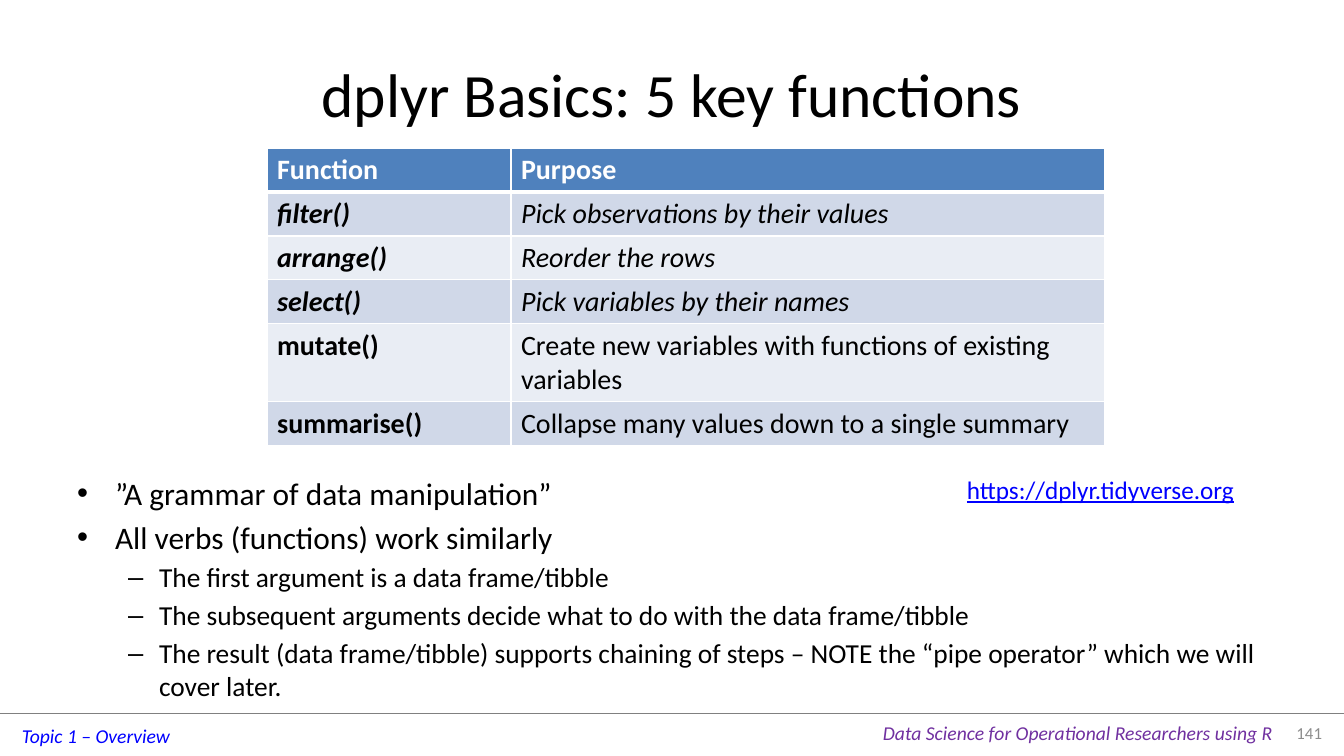
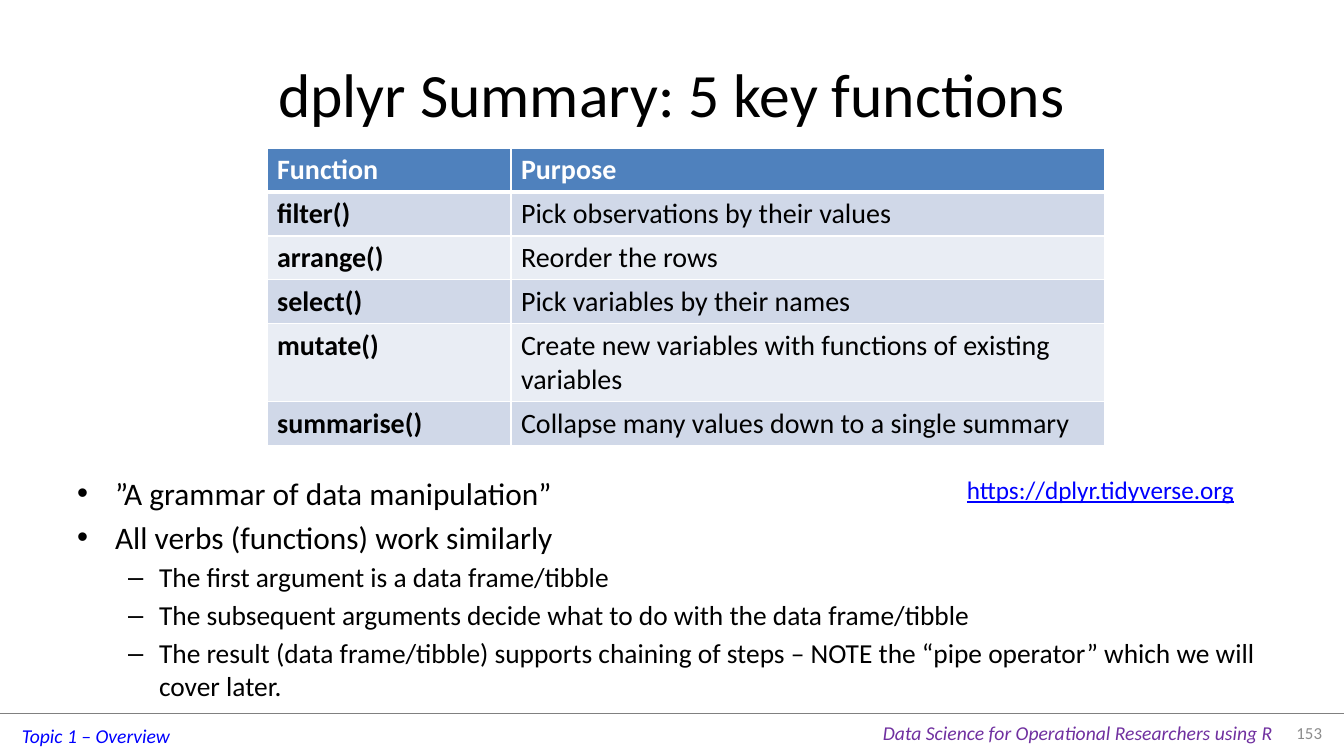
from dataclasses import dataclass

from pptx import Presentation
from pptx import util as u
from pptx.dml.color import RGBColor
from pptx.enum import shapes, text
from pptx.oxml import parse_xml
from pptx.oxml.ns import nsdecls

SLIDE_WIDTH, SLIDE_HEIGHT = 1344, 756
PX_PER_INCH = 100.8


@dataclass(frozen=True)
class Theme:
    font: str = "Calibri"
    black: str = "000000"
    white: str = "FFFFFF"
    header: str = "4F81BD"
    bands: tuple = ("D0D8E8", "E9EDF4")
    rule: str = "808080"
    blue: str = "0000FF"
    purple: str = "7030A0"
    grey: str = "8C8C8C"
    title_size: float = 44
    bullet_sizes: tuple = (22.4, 19.6)
    bullet_gaps: tuple = (4.5, 3.5)
    table_size: float = 20
    link_size: float = 18
    footer_size: float = 14
    number_size: float = 12


THEME = Theme()


def px(length):
    return u.Emu(round(length * 914400 / PX_PER_INCH))


def write(paragraph, content, size, color=THEME.black, bold=False, italic=False,
          underline=False, align=text.PP_ALIGN.LEFT):
    paragraph.alignment = align
    run = paragraph.add_run()
    run.text = content
    font = run.font
    font.name = THEME.font
    font.size = u.Pt(size)
    font.bold, font.italic, font.underline = bold, italic, underline
    font.color.rgb = RGBColor.from_string(color)


class Deck:
    BULLETS = (("•", 38, -38), ("–", 82, -31))

    def __init__(self, theme):
        self.theme = theme
        self.presentation = Presentation()
        self.presentation.slide_width = px(SLIDE_WIDTH)
        self.presentation.slide_height = px(SLIDE_HEIGHT)
        self.slide = None

    def add_slide(self, title, number):
        self.slide = self.presentation.slides.add_slide(self.presentation.slide_layouts[1])
        self.footer(number)
        frame = self.place(self.slide.shapes.title, 67, 30, 1210, 126)
        frame.vertical_anchor = text.MSO_ANCHOR.MIDDLE
        write(frame.paragraphs[0], title, self.theme.title_size, align=text.PP_ALIGN.CENTER)

    def place(self, shape, left, top, width, height):
        shape.left, shape.top = px(left), px(top)
        shape.width, shape.height = px(width), px(height)
        frame = shape.text_frame
        frame.word_wrap = True
        frame.auto_size = text.MSO_AUTO_SIZE.NONE
        return frame

    def label(self, content, left, top, width, height, wrap=True,
              anchor=text.MSO_ANCHOR.TOP, **style):
        box = self.slide.shapes.add_textbox(px(left), px(top), px(width), px(height))
        frame = box.text_frame
        frame.word_wrap = wrap
        frame.vertical_anchor = anchor
        write(frame.paragraphs[0], content, **style)

    def line(self, left, top, right, bottom, color, weight):
        connector = self.slide.shapes.add_connector(
            shapes.MSO_CONNECTOR.STRAIGHT, px(left), px(top), px(right), px(bottom))
        connector.line.color.rgb = RGBColor.from_string(color)
        connector.line.width = u.Pt(weight)
        connector._element.spPr.append(parse_xml(f"<a:effectLst {nsdecls('a')}/>"))

    def footer(self, number):
        theme = self.theme
        self.line(0, 713, SLIDE_WIDTH, 713, theme.rule, 0.25)
        self.label("Topic 1 – Overview", 12, 719, 169, 34, wrap=False,
                   size=theme.footer_size, color=theme.blue, italic=True)
        self.label("Data Science for Operational Researchers using R", 873, 716, 414, 34,
                   wrap=False, size=theme.footer_size, color=theme.purple, italic=True)
        self.label(str(number), 1277, 713, 55, 40, anchor=text.MSO_ANCHOR.MIDDLE,
                   size=theme.number_size, color=theme.grey, align=text.PP_ALIGN.RIGHT)

    def bullets(self, items, left, top, width, height):
        frame = self.place(self.slide.placeholders[1], left, top, width, height)
        frame.vertical_anchor = text.MSO_ANCHOR.TOP
        for index, (level, content) in enumerate(items):
            paragraph = frame.add_paragraph() if index else frame.paragraphs[0]
            paragraph.level = level
            paragraph.space_before = u.Pt(self.theme.bullet_gaps[level] if index else 0)
            mark, margin, indent = self.BULLETS[level]
            properties = paragraph._p.get_or_add_pPr()
            properties.set("marL", str(px(margin)))
            properties.set("indent", str(px(indent)))
            properties.append(parse_xml(f'<a:buChar {nsdecls("a")} char="{mark}"/>'))
            write(paragraph, content, self.theme.bullet_sizes[level])

    def borders(self, cell, **weights):
        properties = cell._tc.get_or_add_tcPr()
        for side in "LRTB":
            properties.append(parse_xml(
                f'<a:ln{side} {nsdecls("a")} w="{u.Pt(weights.get(side, 1))}"><a:solidFill>'
                f'<a:srgbClr val="{self.theme.white}"/></a:solidFill></a:ln{side}>'))

    def table(self, rows, left, top, widths, heights, italic_rows):
        theme = self.theme
        table = self.slide.shapes.add_table(
            len(rows), len(widths), px(left), px(top), px(sum(widths)), px(sum(heights))).table
        table.horz_banding = False
        for column, width in zip(table.columns, widths):
            column.width = px(width)
        for row_index, (row, height) in enumerate(zip(rows, heights)):
            table.rows[row_index].height = px(height)
            is_header = row_index == 0
            fill = theme.header if is_header else theme.bands[(row_index - 1) % 2]
            for column_index, content in enumerate(row):
                cell = table.cell(row_index, column_index)
                self.borders(cell, T=3 if row_index == 1 else 1, B=3 if is_header else 1)
                cell.fill.solid()
                cell.fill.fore_color.rgb = RGBColor.from_string(fill)
                write(cell.text_frame.paragraphs[0], content, theme.table_size,
                      color=theme.white if is_header else theme.black,
                      bold=is_header or column_index == 0,
                      italic=row_index in italic_rows)


FUNCTIONS = (
    ("Function", "Purpose"),
    ("filter()", "Pick observations by their values"),
    ("arrange()", "Reorder the rows"),
    ("select()", "Pick variables by their names"),
    ("mutate()", "Create new variables with functions of existing variables"),
    ("summarise()", "Collapse many values down to a single summary"),
)
ROW_HEIGHTS = (44, 44, 44, 44, 78, 44)
POINTS = (
    (0, "”A grammar of data manipulation”"),
    (0, "All verbs (functions) work similarly"),
    (1, "The first argument is a data frame/tibble"),
    (1, "The subsequent arguments decide what to do with the data frame/tibble"),
    (1, "The result (data frame/tibble) supports chaining of steps – NOTE the “pipe operator” "
        "which we will cover later."),
)
SLIDES = (
    ("dplyr Basics: 5 key functions", 141, (1, 2, 3)),
    ("dplyr Summary: 5 key functions", 153, ()),
)


def main():
    deck = Deck(THEME)
    for title, number, italic_rows in SLIDES:
        deck.add_slide(title, number)
        deck.bullets(POINTS, 67, 469, 1210, 219)
        deck.table(FUNCTIONS, 267, 148, (244, 594), ROW_HEIGHTS, italic_rows)
        deck.label("https://dplyr.tidyverse.org", 957, 469, 296, 40,
                   size=THEME.link_size, color=THEME.blue, underline=True)
    deck.presentation.save("out.pptx")


if __name__ == "__main__":
    main()
